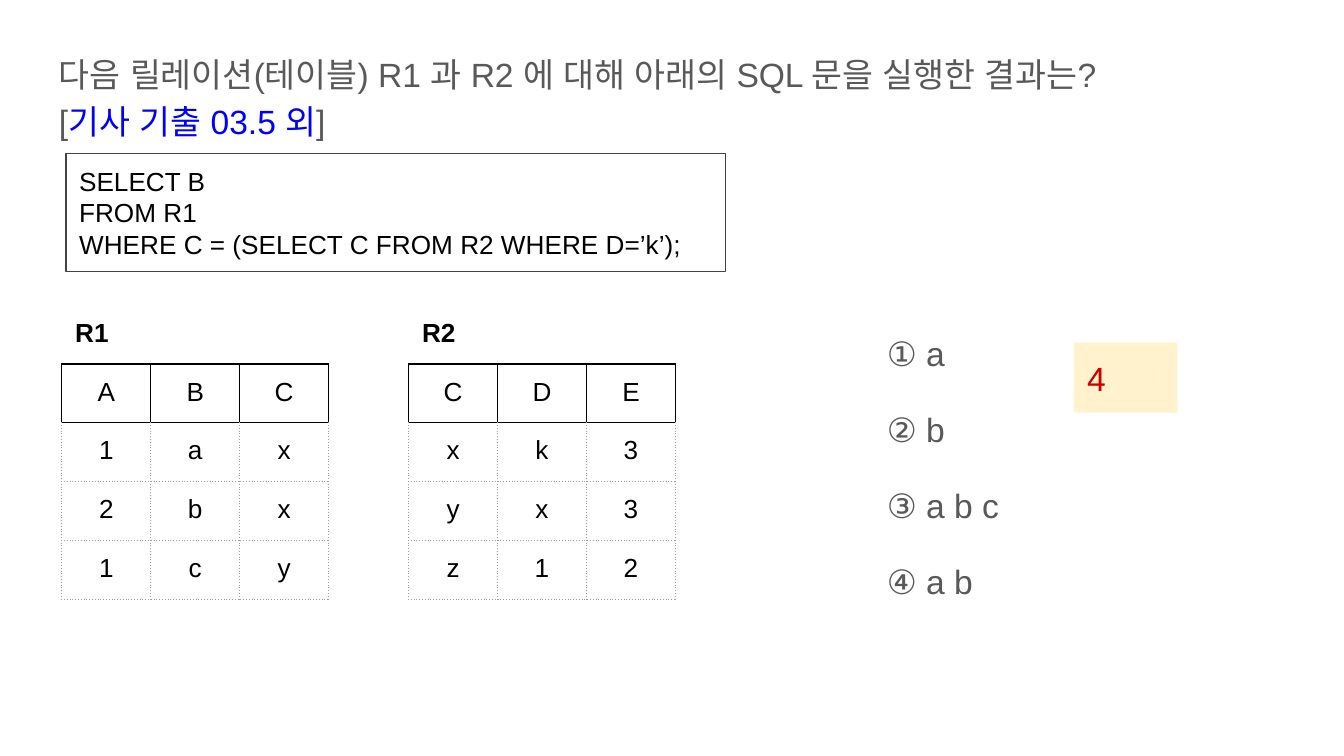
from copy import deepcopy
from dataclasses import dataclass

from lxml.etree import SubElement
from pptx import Presentation
from pptx.dml.color import RGBColor
from pptx.enum.lang import MSO_LANGUAGE_ID
from pptx.enum.shapes import MSO_SHAPE
from pptx.enum.text import MSO_ANCHOR, PP_ALIGN
from pptx.oxml.ns import qn
from pptx.util import Inches, Pt


@dataclass(frozen=True)
class Theme:
    font: str = "Arial"
    body_size: int = 18
    small_size: int = 14
    line_width: float = 0.75
    body: str = "595959"
    highlight: str = "0000FF"
    ink: str = "000000"
    outline: str = "434343"
    dotted: str = "9E9E9E"
    paper: str = "FFFFFF"
    answer: str = "CC0000"
    answer_fill: str = "FFF2CC"


THEME = Theme()
SLIDE_WIDTH = Inches(10)
SLIDE_HEIGHT = SLIDE_WIDTH * 9 // 16
GRID_UNIT = 0.1
TABLE_COLUMN = 6.62
TABLE_ROW = 4.38
TABLE_FRAME = 32.8
MARGINS = dict.fromkeys(
    ("margin_left", "margin_top", "margin_right", "margin_bottom"), Inches(0.1))
BODY = {"size": THEME.body_size, "color": THEME.body}
SMALL = {"size": THEME.small_size, "color": THEME.ink}


def grid(units):
    return Inches(units * GRID_UNIT)


def apply(target, values):
    for name, value in values.items():
        setattr(target, name, value)


def add_run(paragraph, text, size, color, bold=False):
    for index, line in enumerate(text.split("\n")):
        if index:
            paragraph.add_line_break()
        run = paragraph.add_run()
        run.text = line
        apply(run.font, {"name": THEME.font, "size": Pt(size), "bold": bold,
                         "language_id": MSO_LANGUAGE_ID.KOREAN})
        run.font.color.rgb = RGBColor.from_string(color)
        for script in ("ea", "cs", "sym"):
            SubElement(run._r.rPr, qn(f"a:{script}"), typeface=THEME.font)
        if index:
            line_break = run._r.getprevious()
            line_break.insert(0, deepcopy(run._r.rPr))


def write(frame, paragraphs, anchor=MSO_ANCHOR.TOP):
    apply(frame, {"word_wrap": True, "vertical_anchor": anchor, **MARGINS})
    for index, (runs, values) in enumerate(paragraphs):
        paragraph = frame.add_paragraph() if index else frame.paragraphs[0]
        apply(paragraph, {"alignment": PP_ALIGN.LEFT, **values})
        for text, style in runs:
            add_run(paragraph, text, **style)


def add_text(slide, area, paragraphs):
    shape = slide.shapes.add_textbox(*map(grid, area))
    write(shape.text_frame, paragraphs)


def add_box(slide, area, paragraphs, fill=None, line=None):
    shape = slide.shapes.add_shape(MSO_SHAPE.RECTANGLE, *map(grid, area))
    shape.shadow.inherit = False
    if fill:
        shape.fill.solid()
        shape.fill.fore_color.rgb = RGBColor.from_string(fill)
    else:
        shape.fill.background()
    if line:
        shape.line.color.rgb = RGBColor.from_string(line)
        shape.line.width = Pt(THEME.line_width)
    else:
        shape.line.fill.background()
    write(shape.text_frame, paragraphs, MSO_ANCHOR.MIDDLE)


def set_borders(cell, colors):
    properties = cell._tc.get_or_add_tcPr()
    for side, color in zip("LRTB", colors):
        line = SubElement(properties, qn(f"a:ln{side}"), w=str(Pt(THEME.line_width)))
        solid = SubElement(line, qn("a:solidFill"))
        SubElement(solid, qn("a:srgbClr"), val=color)
        dash = "dot" if color == THEME.dotted else "solid"
        SubElement(line, qn("a:prstDash"), val=dash)


def border_colors(row):
    if row == 0:
        return [THEME.paper] * 3 + [THEME.ink]
    if row == 1:
        return [THEME.ink] * 4
    top = THEME.ink if row == 2 else THEME.dotted
    return [THEME.dotted, THEME.dotted, top, THEME.dotted]


def add_relation(slide, left, top, name, records):
    rows = [[name, "", ""], *records]
    columns = len(rows[0])
    area = (left, top, TABLE_FRAME, TABLE_FRAME)
    frame = slide.shapes.add_table(len(rows), columns, *map(grid, area))
    table = frame.table
    apply(table, {"first_row": False, "horz_banding": False})
    for column in table.columns:
        column.width = grid(TABLE_COLUMN)
    for row_index, values in enumerate(rows):
        table.rows[row_index].height = grid(TABLE_ROW)
        title = row_index == 0
        alignment = PP_ALIGN.LEFT if title else PP_ALIGN.CENTER
        for column_index, text in enumerate(values):
            cell = table.cell(row_index, column_index)
            apply(cell, MARGINS)
            set_borders(cell, border_colors(row_index))
            cell.fill.background()
            if text:
                paragraph = cell.text_frame.paragraphs[0]
                paragraph.alignment = alignment
                add_run(paragraph, text, bold=title, **SMALL)
    table.cell(0, 0).merge(table.cell(0, columns - 1))
    apply(frame, {"width": grid(TABLE_FRAME), "height": grid(TABLE_FRAME)})


def add_choices(slide, area, choices):
    paragraphs = []
    for index, choice in enumerate(choices):
        spacing = {"line_spacing": 1.15, "space_before": Pt(16 if index else 0)}
        paragraphs.append(([(f"{chr(ord('①') + index)} {choice}", BODY)], spacing))
    paragraphs[-1][1]["space_after"] = Pt(16)
    add_text(slide, area, paragraphs)


def main():
    presentation = Presentation()
    apply(presentation, {"slide_width": SLIDE_WIDTH, "slide_height": SLIDE_HEIGHT})
    slide = presentation.slides.add_slide(presentation.slide_layouts[6])

    question = [
        ("다음 릴레이션(테이블) R1 과 R2 에 대해 아래의 SQL 문을 실행한 결과는?\n[", BODY),
        ("기사 기출 03.5 외", {**BODY, "color": THEME.highlight}),
        ("]", BODY),
    ]
    add_text(slide, (3.4, 2.6, 93.2, 4.7),
             [(question, {"line_spacing": 1.15, "space_after": Pt(16)})])

    query = ["SELECT B\nFROM R1", "WHERE C = (SELECT C FROM R2 WHERE D=’k’);"]
    add_box(slide, (4.9, 11.4, 49.1, 8.8),
            [([(text, SMALL)], {}) for text in query], line=THEME.outline)

    relations = {"R1": ("ABC", "1ax", "2bx", "1cy"),
                 "R2": ("CDE", "xk3", "yx3", "z12")}
    for index, (name, records) in enumerate(relations.items()):
        add_relation(slide, 4.6 + index * 25.8, 22.7, name, records)

    add_choices(slide, (65, 23.3, 18.2, 24.6), ("a", "b", "a b c", "a b"))
    add_box(slide, (79.9, 25.5, 7.7, 5.2),
            [([("4", {**BODY, "color": THEME.answer})], {})], fill=THEME.answer_fill)

    presentation.save("out.pptx")


main()
